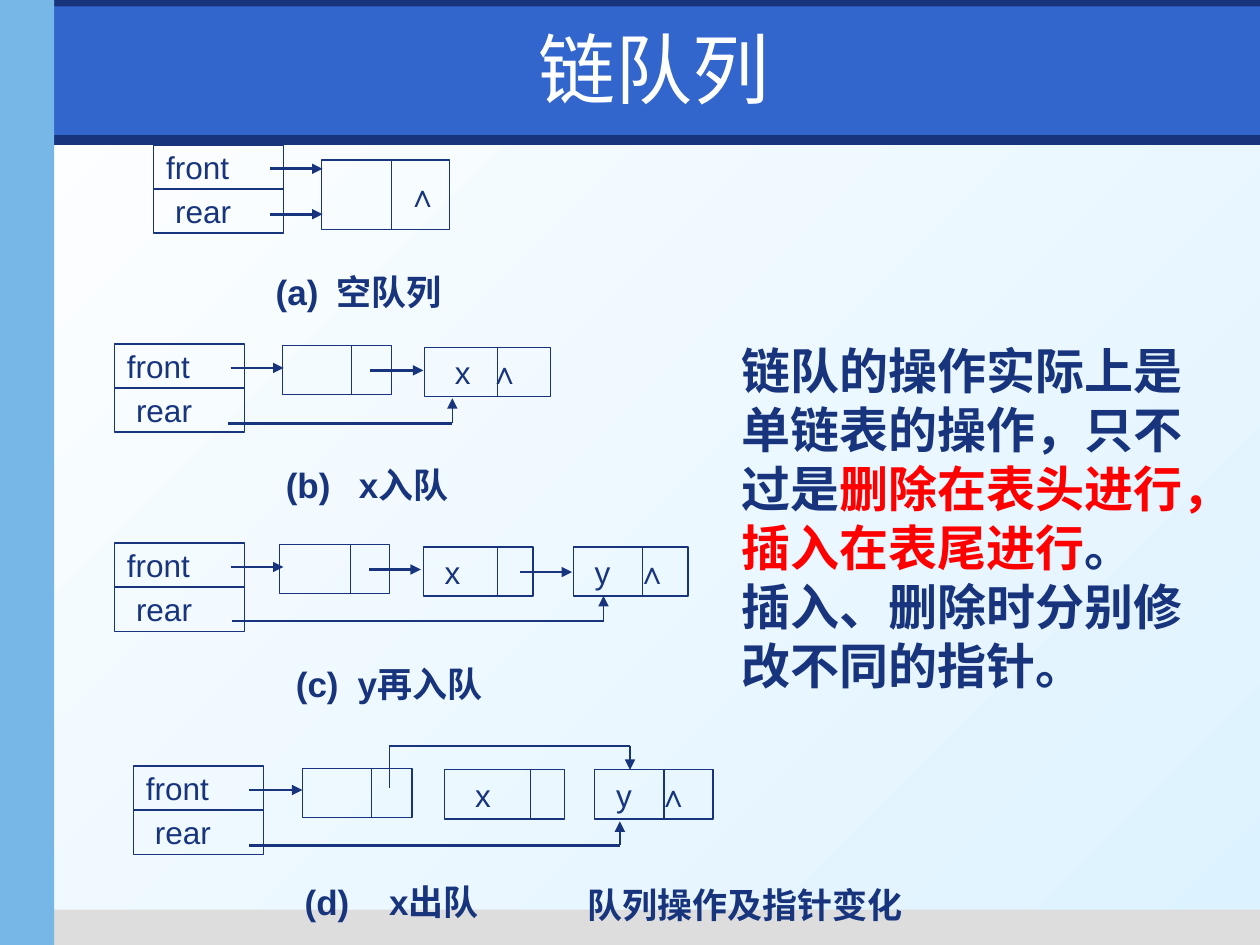
"""Build a slide on linked queues: four pointer states and a summary."""
from lxml import etree
from pptx import Presentation, util as u
from pptx.dml.color import RGBColor
from pptx.enum import shapes, text
from pptx.oxml.ns import qn

COLORS = {"navy": "17347D", "blue": "3366CC", "sky": "77B7E7", "grey": "DDDDDD",
          "white": "FFFFFF", "pale": "DDF2FF", "red": "FF0000"}
LATIN, CJK = "Arial", "Noto Sans CJK SC"
THICK, THIN = 1.5, 0.75
CAPTION_SIZE = (1.8, 0.43)

BANDS = [
    ((0.04, 1.07, 9.96, 0.08), "navy"),
    ((0.35, 7.22, 9.65, 0.28), "grey"),
    ((0, -0.03, 10, 0.24), "navy"),
    ((0.43, 0.05, 9.57, 1.02), "blue"),
    ((0, 0, 0.43, 7.5), "sky"),
]
TITLE = "链队列"
SUMMARY = [
    [("链队的操作实际上是单链表的操作，只不过是", "navy"),
     ("删除在表头进行，插入在表尾进行", "red"), ("。", "navy")],
    [("插入、删除时分别修改不同的指针。", "navy")],
]
FIGURE_NAME = "队列操作及指针变化"

STATES = [
    {"caption": ("(a)\t空队列", 2.09, 2.1, 0.48), "pointers": (1.22, 1.15),
     "nodes": [(2.55, 1.27, 1.02, 0.55, 3.11, 0.68, "∧", 0)],
     "arrows": [([(2.14, 1.7), (2.56, 1.7)], THICK)]},
    {"caption": ("(b)\tx入队", 2.17, 3.63, 0.58), "pointers": (0.91, 2.73),
     "nodes": [(2.24, 2.74, 0.87, 0.39, 2.79, 0.1, "", 0),
               (3.37, 2.76, 1, 0.39, 3.95, 0.24, "x\t∧", 0.27)],
     "arrows": [([(2.94, 2.94), (3.36, 2.94)], THICK),
                ([(1.81, 3.36), (3.59, 3.36), (3.59, 3.16)], THICK)]},
    {"caption": ("(c)\ty再入队", 2.25, 5.21, 0.49), "pointers": (0.91, 4.31),
     "nodes": [(2.22, 4.32, 0.87, 0.39, 2.78, 0.1, "", 0),
               (3.36, 4.34, 0.87, 0.39, 3.95, 0.17, "x", 0),
               (4.55, 4.34, 0.91, 0.39, 5.1, 0.17, "y\t∧", 0.33)],
     "arrows": [([(2.93, 4.52), (3.34, 4.52)], THICK),
                ([(4.13, 4.54), (4.54, 4.54)], THICK),
                ([(1.84, 4.93), (4.79, 4.93), (4.79, 4.73)], THICK)]},
    {"caption": ("(d)\tx出队", 2.32, 6.94, 0.67), "pointers": (1.06, 6.08),
     "nodes": [(2.4, 6.1, 0.87, 0.39, 2.95, 0.1, "", 0),
               (3.53, 6.11, 0.95, 0.39, 4.21, 0.24, "x", 0),
               (4.72, 6.11, 0.94, 0.39, 5.27, 0.17, "y\t∧", 0.33)],
     "arrows": [([(1.98, 6.71), (4.92, 6.71), (4.92, 6.52)], THICK),
                ([(3.09, 6.25), (3.09, 5.92), (5, 5.92), (5, 6.11)], THIN)]},
]


def rgb(name):
    return RGBColor.from_string(COLORS[name])


def add_box(slide, place, fill=None):
    box = slide.shapes.add_shape(shapes.MSO_SHAPE.RECTANGLE, *map(u.Inches, place))
    box.shadow.inherit = False
    if fill:
        box.fill.solid()
        box.fill.fore_color.rgb = rgb(fill)
        box.line.fill.background()
    else:
        box.fill.background()
        box.line.color.rgb = rgb("navy")
        box.line.width = u.Pt(THIN)
    return box


def style(paragraph, size, color="navy", latin=LATIN, bold=False, tab=0):
    if tab:
        tabs = etree.SubElement(paragraph._p.get_or_add_pPr(), qn("a:tabLst"))
        etree.SubElement(tabs, qn("a:tab"), pos=str(u.Inches(tab)), algn="l")
    font = paragraph.font
    font.size, font.bold, font.name = u.Pt(size), bold, latin
    font.color.rgb = rgb(color)
    defaults = paragraph._p.pPr.find(qn("a:defRPr"))
    defaults.find(qn("a:latin")).addnext(
        etree.Element(qn("a:ea"), typeface=CJK))


def write(shape, words, size, inset=0.1, wrap=False, align="LEFT", **look):
    frame = shape.text_frame
    frame.word_wrap = wrap
    frame.margin_left = u.Inches(inset)
    frame.vertical_anchor = text.MSO_ANCHOR.MIDDLE
    paragraph = frame.paragraphs[0]
    paragraph.text = words
    paragraph.alignment = text.PP_ALIGN[align]
    style(paragraph, size, **look)
    return paragraph


def add_line(slide, start, end, width=THIN, arrow=False):
    line = slide.shapes.add_connector(
        shapes.MSO_CONNECTOR.STRAIGHT, *map(u.Inches, (*start, *end)))
    line.line.color.rgb = rgb("navy")
    line.line.width = u.Pt(width)
    if arrow:
        etree.SubElement(line.line._get_or_add_ln(), qn("a:tailEnd"), type="triangle")
    etree.SubElement(line._element.spPr, qn("a:effectLst"))


def add_route(slide, points, width):
    legs = list(zip(points, points[1:]))
    for start, end in legs:
        level = start[1] == end[1]
        add_line(slide, start, end, width if level else THIN, (start, end) == legs[-1])


def add_textbox(slide, place):
    return slide.shapes.add_textbox(*map(u.Inches, place))


def draw_state(slide, state):
    caption, left, top, tab = state["caption"]
    write(add_textbox(slide, (left, top, *CAPTION_SIZE)), caption, 20,
          wrap=True, bold=True, tab=tab)
    x, y = state["pointers"]
    for row, (label, inset) in enumerate([("front", 0.1), ("rear", 0.17)]):
        write(add_box(slide, (x, y + row * 0.35, 1.03, 0.35)), label, 18, inset)
    add_route(slide, [(x + 0.92, y + 0.19), (x + 1.34, y + 0.19)], THICK)
    for left, top, width, height, divider, inset, label, tab in state["nodes"]:
        node = add_box(slide, (left, top, width, height))
        if label:
            write(node, label, 18, inset, tab=tab)
        add_line(slide, (divider, top), (divider, top + height))
    for points, width in state["arrows"]:
        add_route(slide, points, width)


def draw_summary(slide):
    frame = add_textbox(slide, (5.79, 2.65, 3.7, 2.93)).text_frame
    frame.word_wrap = True
    for index, runs in enumerate(SUMMARY):
        paragraph = frame.add_paragraph() if index else frame.paragraphs[0]
        paragraph.line_spacing = u.Pt(33.7)
        style(paragraph, 28, latin=CJK, bold=True)
        for words, color in runs:
            run = paragraph.add_run()
            run.text = words
            run.font.color.rgb = rgb(color)


def main():
    deck = Presentation()
    deck.slide_width, deck.slide_height = u.Inches(10), u.Inches(7.5)
    slide = deck.slides.add_slide(deck.slide_layouts[6])
    backdrop = slide.background.fill
    backdrop.gradient()
    backdrop.gradient_angle = 315
    for stop, (position, color) in zip(backdrop.gradient_stops, [(0, "white"), (1, "pale")]):
        stop.position = position
        stop.color.rgb = rgb(color)
    for place, color in BANDS:
        add_box(slide, place, color)
    write(add_textbox(slide, (4.29, 6.98, 3.07, 0.39)), FIGURE_NAME, 20, 0.28,
          wrap=True, align="CENTER", latin=CJK, bold=True)
    for state in STATES:
        draw_state(slide, state)
    draw_summary(slide)
    title = write(add_textbox(slide, (0.59, 0.1, 9.21, 0.87)), TITLE, 44,
                  wrap=True, align="CENTER", color="white", latin=CJK)
    title.line_spacing = u.Pt(53)
    deck.save("out.pptx")


if __name__ == "__main__":
    main()
